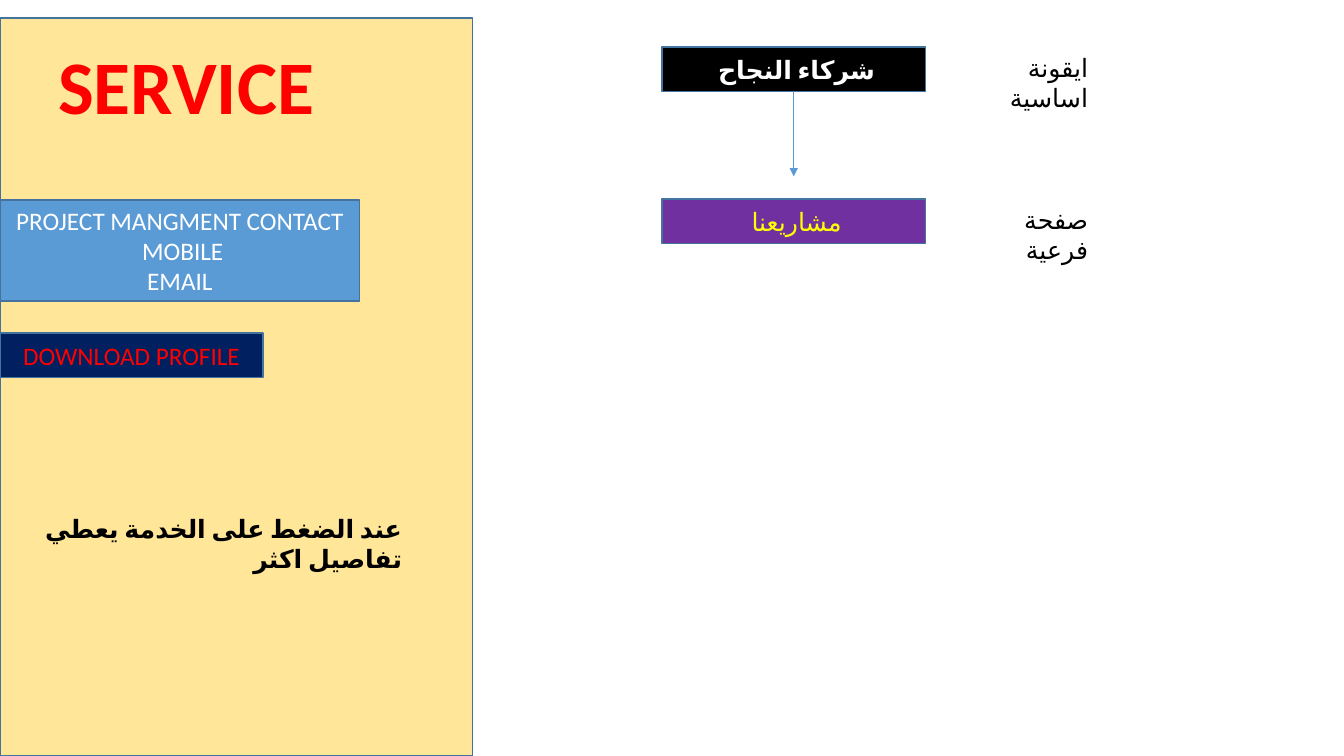
from lxml import etree
from pptx import Presentation
from pptx.dml.color import RGBColor
from pptx.enum.lang import MSO_LANGUAGE_ID
from pptx.enum.shapes import MSO_CONNECTOR, MSO_SHAPE
from pptx.enum.text import MSO_ANCHOR, MSO_AUTO_SIZE, PP_ALIGN
from pptx.oxml.ns import qn
from pptx.util import Pt

RECTANGLE = MSO_SHAPE.RECTANGLE
STRAIGHT = MSO_CONNECTOR.STRAIGHT
TOP, MIDDLE = MSO_ANCHOR.TOP, MSO_ANCHOR.MIDDLE
CENTER, RIGHT = PP_ALIGN.CENTER, PP_ALIGN.RIGHT
NO_FIT = MSO_AUTO_SIZE.NONE
ARABIC = MSO_LANGUAGE_ID.ARABIC
TITLE_ONLY = 5
BOTTOM_SIDE = 2

FONT = "Calibri"
OUTLINE = "43739E"
BLUE = "5B9BD5"
NODE_LEFT, NODE_WIDTH, BAR_HEIGHT = 473, 188, 31.7
LABEL_LEFT = 693


def color(hex_code):
    return RGBColor.from_string(hex_code)


def write_text(shape, *lines, size=18, ink="000000", bold=False, align=CENTER, anchor=TOP):
    """Fill a shape with right-to-left paragraphs, one for each line."""
    frame = shape.text_frame
    frame.word_wrap = True
    frame.auto_size = NO_FIT
    frame.vertical_anchor = anchor
    for index, line in enumerate(lines):
        para = frame.add_paragraph() if index else frame.paragraphs[0]
        para.alignment = align
        para.font.size = Pt(size)
        para._p.get_or_add_pPr().set("rtl", "1")
        span = para.add_run()
        span.text = line
        span.font.name = FONT
        span.font.size = Pt(size)
        span.font.bold = bold
        span.font.color.rgb = color(ink)
        span.font.language_id = ARABIC
        etree.SubElement(span._r.get_or_add_rPr(), qn("a:cs"), typeface=FONT)


def add_box(slide, left, top, width, height, fill):
    box = slide.shapes.add_shape(RECTANGLE, Pt(left), Pt(top), Pt(width), Pt(height))
    box.shadow.inherit = False
    box.fill.solid()
    box.fill.fore_color.rgb = color(fill)
    box.line.color.rgb = color(OUTLINE)
    box.line.width = Pt(1)
    return box


def add_label(slide, text, left, top, width, bold=False):
    label = slide.shapes.add_textbox(Pt(left), Pt(top), Pt(width), Pt(29))
    write_text(label, text, bold=bold, align=RIGHT)


def add_arrow_down(slide, box, end_y):
    """Draw an arrow from the bottom of a box to a free end."""
    x = box.left + box.width // 2
    arrow = slide.shapes.add_connector(STRAIGHT, x, box.top + box.height, x, Pt(end_y))
    arrow.begin_connect(box, BOTTOM_SIDE)
    arrow.line.color.rgb = color(BLUE)
    arrow.line.width = Pt(0.5)
    etree.SubElement(arrow.line._get_or_add_ln(), qn("a:tailEnd"), type="triangle")
    etree.SubElement(arrow.element.spPr, qn("a:effectLst"))


def set_title(slide, text):
    title = slide.shapes.title
    title.left, title.top, title.width, title.height = Pt(9.4), Pt(24.5), Pt(247), Pt(72.7)
    write_text(title, text, size=54, ink="FF0000", bold=True)


def main():
    deck = Presentation()
    deck.slide_width, deck.slide_height = Pt(960), Pt(540)
    slide = deck.slides.add_slide(deck.slide_layouts[TITLE_ONLY])

    panel = add_box(slide, 0, 12.8, 337.7, 527.2, "FFE699")
    slide.shapes.title.element.addprevious(panel.element)
    set_title(slide, "SERVICE")

    contact = add_box(slide, 0, 143, 257, 72, BLUE)
    write_text(contact, "PROJECT MANGMENT CONTACT", "MOBILE ", "EMAIL",
               ink="FFFFFF", anchor=MIDDLE)
    download = add_box(slide, 0, 237.8, NODE_WIDTH, BAR_HEIGHT, "002060")
    write_text(download, "DOWNLOAD PROFILE", ink="FF0000", anchor=MIDDLE)
    add_label(slide, "عند الضغط على الخدمة يعطي تفاصيل اكثر ", 9.4, 363, 285, bold=True)

    levels = [
        (33.5, "شركاء النجاح ", "000000", "FFFFFF", True, "ايقونة اساسية"),
        (142.2, "مشاريعنا ", "7030A0", "FFFF00", False, "صفحة فرعية"),
    ]
    nodes = []
    for top, name, fill, ink, bold, caption in levels:
        node = add_box(slide, NODE_LEFT, top, NODE_WIDTH, BAR_HEIGHT, fill)
        write_text(node, name, ink=ink, bold=bold, anchor=MIDDLE)
        add_label(slide, caption, LABEL_LEFT, top, 91.4)
        nodes.append(node)
    add_arrow_down(slide, nodes[0], 126)

    deck.save("out.pptx")


if __name__ == "__main__":
    main()
